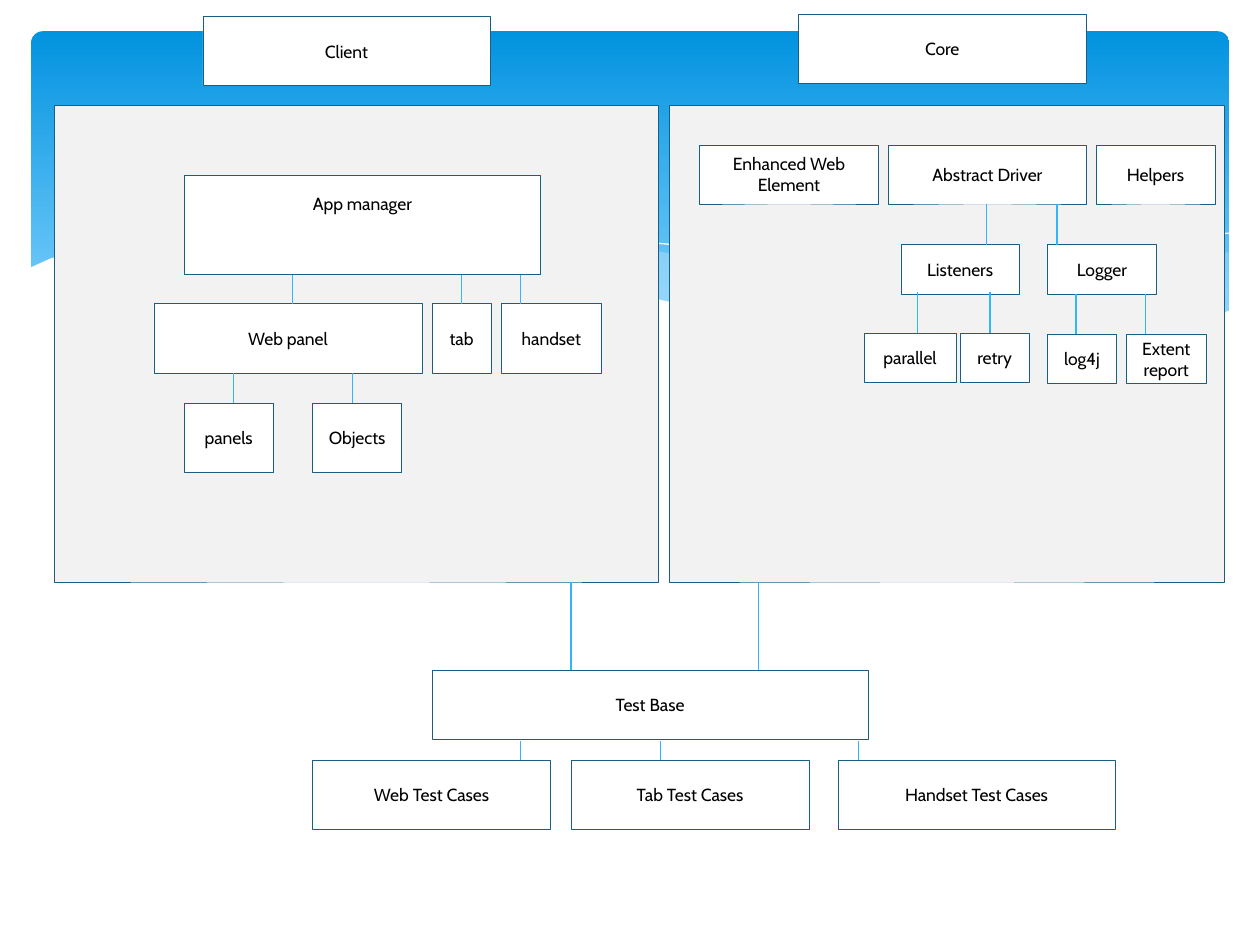
from dataclasses import dataclass
from typing import Optional

from lxml import etree
from pptx import Presentation
from pptx.dml.color import RGBColor
from pptx.enum.shapes import MSO_CONNECTOR, MSO_SHAPE
from pptx.enum.text import MSO_ANCHOR, PP_ALIGN
from pptx.oxml.ns import qn
from pptx.util import Cm, Pt

RECT = MSO_SHAPE.RECTANGLE
ROUND = MSO_SHAPE.ROUNDED_RECTANGLE
STRAIGHT = MSO_CONNECTOR.STRAIGHT
MIDDLE = MSO_ANCHOR.MIDDLE
CENTER = PP_ALIGN.CENTER

WHITE = RGBColor(0xFF, 0xFF, 0xFF)
BLACK = RGBColor(0x00, 0x00, 0x00)
GREY = RGBColor(0xF2, 0xF2, 0xF2)
NAVY = RGBColor(0x19, 0x5F, 0x84)
SKY = RGBColor(0x31, 0xB6, 0xFD)
DEEP = RGBColor(0x02, 0x93, 0xE0)
LIGHT = RGBColor(0x83, 0xD3, 0xFE)
PALE = RGBColor(0xC6, 0xE7, 0xFC)


@dataclass
class Wave:
    points: list[tuple[float, float]]
    fill: Optional[RGBColor] = None
    alpha: int = 100


@dataclass
class Box:
    text: str
    left: float
    width: float
    foot: float = 0.13


@dataclass
class Row:
    top: float
    height: float
    boxes: list[Box]


@dataclass
class Ties:
    top: float
    base: float
    places: list[float]


WAVES = [
    Wave([(24.77, 5.08), (23.75, 5.26), (21.87, 5.66), (19.13, 6.3), (16.79, 6.73),
          (18.59, 6.96), (20.4, 7.06), (21.92, 6.99), (23.39, 6.73), (24.77, 6.27)],
         PALE, 29),
    Wave([(22.68, 6.93), (20.5, 6.6), (17.93, 6.1), (15.98, 5.64), (14.45, 5.28),
          (13.06, 5.03), (11.23, 4.8), (9.17, 4.7), (7.26, 4.85), (9.19, 5.16),
          (11.4, 5.64), (13.46, 6.1), (15.27, 6.48), (17.27, 6.81), (19.33, 7.04),
          (21.03, 7.06)], PALE, 40),
    Wave([(7.85, 4.95), (8.97, 4.8), (10.57, 4.75), (12.42, 4.83), (13.54, 4.93),
          (15.44, 5.18), (17.65, 5.56), (20.19, 6.12), (23.04, 6.91)]),
    Wave([(15.57, 6.53), (17.65, 5.97), (19.71, 5.49), (22, 5.05), (23.47, 4.83),
          (24.77, 4.7)]),
    Wave([(24.82, 6.25), (23.62, 6.65), (22.23, 6.93), (20.55, 7.04), (18.44, 6.91),
          (16.46, 6.65), (14.1, 6.22), (12.07, 5.77), (9.93, 5.26), (8.03, 4.93),
          (6.35, 4.72), (4.5, 4.67), (3.02, 4.75), (1.93, 4.95), (1.02, 5.21),
          (0.58, 5.41), (0.58, 8.36), (24.82, 8.36)], WHITE),
]

PANELS = Row(2.13, 9.6, [Box("", 1.09, 12.19), Box("", 13.49, 11.2)])

ROWS = [
    Row(0.33, 1.4, [Box("Client", 4.09, 5.79)]),
    Row(0.28, 1.4, [Box("Core", 16.1, 5.79)]),
    Row(3.53, 2, [Box("App manager", 3.71, 7.19, 0.97)]),
    Row(6.12, 1.4, [Box("Web panel", 3.1, 5.41), Box("tab", 8.71, 1.19),
                    Box("handset", 10.11, 2.01)]),
    Row(8.13, 1.4, [Box("panels", 3.71, 1.8), Box("Objects", 6.3, 1.8)]),
    Row(2.92, 1.19, [Box("Enhanced Web Element", 14.1, 3.61),
                     Box("Abstract Driver", 17.91, 3.99), Box("Helpers", 22.1, 2.39)]),
    Row(4.93, 1, [Box("Listeners", 18.16, 2.39), Box("Logger", 21.11, 2.21)]),
    Row(6.71, 1, [Box("parallel", 17.42, 1.85), Box("retry", 19.35, 1.4)]),
    Row(6.73, 1, [Box("log4j", 21.11, 1.4), Box("Extent report", 22.71, 1.6)]),
    Row(13.51, 1.4, [Box("Test Base", 8.71, 8.79)]),
    Row(15.32, 1.4, [Box("Web Test Cases", 6.3, 4.8), Box("Tab Test Cases", 11.51, 4.8),
                     Box("Handset Test Cases", 16.89, 5.59)]),
]

TIES = [
    Ties(5.54, 6.12, [5.89, 9.3, 10.49]),
    Ties(7.52, 8.13, [4.7, 7.11]),
    Ties(4.11, 4.93, [19.89, 21.31]),
    Ties(5.89, 6.71, [18.49, 19.96]),
    Ties(5.92, 6.73, [21.69, 23.09]),
    Ties(11.73, 13.51, [11.51, 15.29]),
    Ties(14.94, 15.32, [10.49, 13.31, 17.3]),
]


def write(shape, text: str, *, size: float = 10, font: str = "Cabin",
          color: RGBColor = BLACK, foot: float = 0.13) -> None:
    frame = shape.text_frame
    frame.word_wrap = True
    frame.vertical_anchor = MIDDLE
    frame.margin_left = frame.margin_right = Cm(0.2)
    frame.margin_top, frame.margin_bottom = Cm(0.13), Cm(foot)
    line = frame.paragraphs[0]
    line.alignment = CENTER
    run = line.add_run()
    run.text = text
    run.font.size = Pt(size)
    run.font.name = font
    run.font.color.rgb = color


def draw_banner(shapes) -> None:
    banner = shapes.add_shape(ROUND, Cm(0.63), Cm(0.63), Cm(24.15), Cm(6.86))
    banner.adjustments[0] = 0.034
    banner.shadow.inherit = False
    banner.line.fill.background()
    banner.fill.gradient()
    banner.fill.gradient_angle = 270
    for stop, place, color in zip(banner.fill.gradient_stops, (0, 0.9), (DEEP, LIGHT)):
        stop.position = place
        stop.color.rgb = color


def draw_wave(shapes, wave: Wave) -> None:
    closed = wave.fill is not None
    points = [(round(x * 100), round(y * 100)) for x, y in wave.points]
    pen = shapes.build_freeform(*points[0], scale=Cm(1) / 100)
    pen.add_line_segments(points[1:], close=closed)
    shape = pen.convert_to_shape()
    shape.shadow.inherit = False
    if not closed:
        shape.fill.background()
        shape.line.color.rgb = WHITE
        shape.line.width = Pt(0)
        return
    shape.line.fill.background()
    shape.fill.solid()
    shape.fill.fore_color.rgb = wave.fill
    if wave.alpha < 100:
        color = shape._element.spPr.find(qn("a:solidFill"))[0]
        etree.SubElement(color, qn("a:alpha"), val=str(wave.alpha * 1000))


def draw_row(shapes, row: Row, fill: RGBColor) -> None:
    for box in row.boxes:
        shape = shapes.add_shape(RECT, Cm(box.left), Cm(row.top),
                                 Cm(box.width), Cm(row.height))
        shape.shadow.inherit = False
        shape.fill.solid()
        shape.fill.fore_color.rgb = fill
        shape.line.color.rgb = NAVY
        shape.line.width = Pt(0.25)
        if box.text:
            write(shape, box.text, foot=box.foot)


def draw_ties(shapes, ties: Ties) -> None:
    for place in ties.places:
        tie = shapes.add_connector(STRAIGHT, Cm(place), Cm(ties.top),
                                   Cm(place), Cm(ties.base))
        tie.line.color.rgb = SKY
        tie.line.width = Pt(0.75)
        etree.SubElement(tie._element.spPr, qn("a:effectLst"))


def main() -> None:
    deck = Presentation()
    deck.slide_width, deck.slide_height = Cm(25.4), Cm(19.05)
    shapes = deck.slides.add_slide(deck.slide_layouts[6]).shapes
    draw_banner(shapes)
    for wave in WAVES:
        draw_wave(shapes, wave)
    draw_row(shapes, PANELS, GREY)
    for row in ROWS:
        draw_row(shapes, row, WHITE)
    for ties in TIES:
        draw_ties(shapes, ties)
    deck.save("out.pptx")


main()
